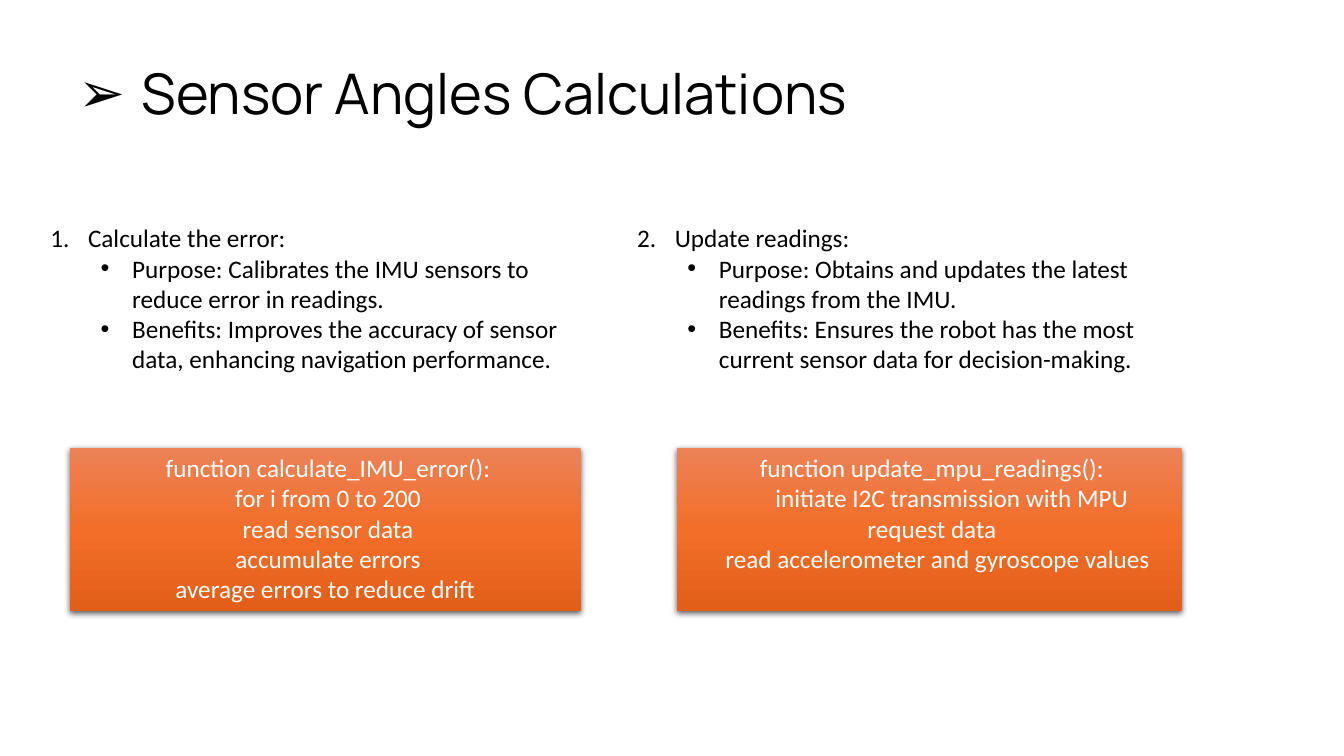
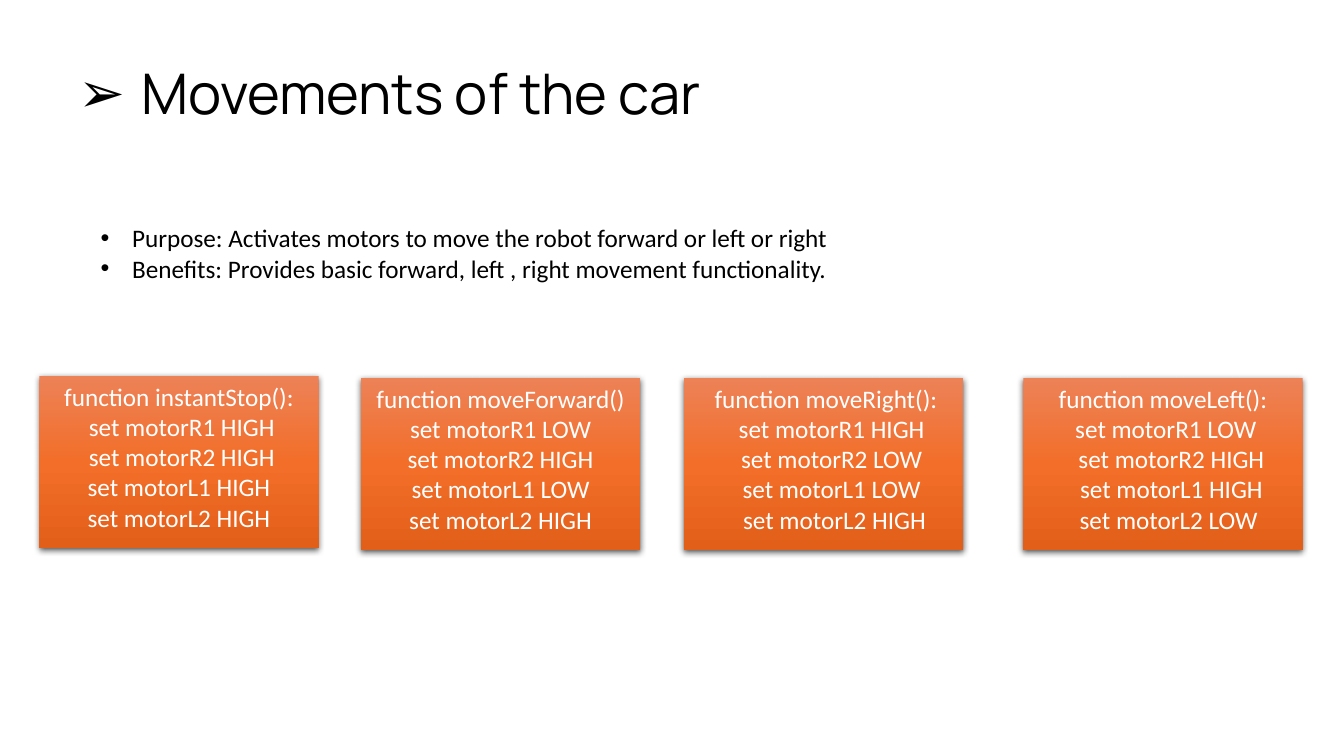
"""Build two slides on the robot's angle readings and car movements."""
from dataclasses import dataclass

from lxml.etree import SubElement
from pptx import Presentation
from pptx.dml.color import RGBColor
from pptx.enum.shapes import MSO_SHAPE
from pptx.enum.text import MSO_ANCHOR, PP_ALIGN
from pptx.oxml import parse_xml
from pptx.oxml.ns import nsdecls, qn
from pptx.util import Inches, Pt

COLOURS = {
    "ink": "000000",
    "paper": "FFFFFF",
    "light": "ED8257",
    "middle": "F26E29",
    "deep": "E25F1A",
}
WIDTH, HEIGHT = Inches(13.33), Inches(7.5)
GRADIENT = (("light", 0), ("middle", 50), ("deep", 100))
FRAME = {"word_wrap": True, "vertical_anchor": MSO_ANCHOR.TOP}
TITLE_FRAME = FRAME | {"vertical_anchor": MSO_ANCHOR.MIDDLE}
BODY_FONT = {"name": "Calibri", "size": Pt(18), "bold": False}
TITLE_FONT = BODY_FONT | {"name": "Manrope", "size": Pt(40)}


@dataclass(frozen=True)
class Area:
    """A rectangle in hundredths of the slide's width and height."""

    left: float
    top: float
    width: float
    height: float

    def lengths(self) -> tuple[int, int, int, int]:
        """Return left, top, width and height for python-pptx."""
        return across(self.left), down(self.top), across(self.width), down(self.height)


@dataclass(frozen=True)
class Marker:
    """A bullet with its text margin and hanging indent."""

    tag: str
    attributes: dict[str, str]
    margin: float
    hanging: float
    level: int = 0


@dataclass(frozen=True)
class Line:
    """A paragraph of text and its marker."""

    text: str
    marker: Marker


@dataclass(frozen=True)
class Notes:
    """A text block of marked lines."""

    area: Area
    lines: tuple[Line, ...]


@dataclass(frozen=True)
class Code:
    """An orange panel of pseudocode."""

    area: Area
    text: str


@dataclass(frozen=True)
class Topic:
    """The content of one slide."""

    title: str
    notes: tuple[Notes, ...]
    codes: tuple[Code, ...]


def across(share: float) -> int:
    """Turn a hundredth of the slide's width into a length."""
    return round(WIDTH * share / 100)


def down(share: float) -> int:
    """Turn a hundredth of the slide's height into a length."""
    return round(HEIGHT * share / 100)


def numbered(start: int) -> Marker:
    """Return a number marker that counts from start."""
    attributes = {"type": "arabicPeriod", "startAt": str(start)}
    return Marker("a:buAutoNum", attributes, 2.81, 2.81)


ARROW = Marker("a:buChar", {"char": "➢"}, 4.69, 4.69)
DOT = Marker("a:buChar", {"char": "•"}, 6.09, 2.34, 1)
TITLE_AREA = Area(5.1, 3.07, 86.25, 19.33)


def apply(target: object, values: dict) -> None:
    """Set each named format value on the target."""
    for name, value in values.items():
        setattr(target, name, value)


def write(paragraph, text: str, font: dict, colour: str, layout: dict) -> None:
    """Fill a paragraph with one formatted span."""
    apply(paragraph, layout)
    span = paragraph.add_run()
    span.text = text
    apply(span.font, font)
    span.font.color.rgb = RGBColor.from_string(COLOURS[colour])


def mark(paragraph, marker: Marker) -> None:
    """Give a paragraph its bullet and indents."""
    properties = paragraph._p.get_or_add_pPr()
    properties.set("marL", str(across(marker.margin)))
    properties.set("indent", str(-across(marker.hanging)))
    SubElement(properties, qn("a:buFont"), typeface="Arial")
    SubElement(properties, qn(marker.tag), marker.attributes)
    paragraph.level = marker.level


def paragraphs(frame, count: int) -> list:
    """Return the frame's paragraphs, extended to count."""
    return [frame.paragraphs[0], *(frame.add_paragraph() for _ in range(count - 1))]


def add_notes(page, notes: Notes, font: dict, frame: dict, layout: dict) -> None:
    """Draw a block of marked lines."""
    box = page.shapes.add_textbox(*notes.area.lengths())
    apply(box.text_frame, frame)
    for para, line in zip(paragraphs(box.text_frame, len(notes.lines)), notes.lines):
        mark(para, line.marker)
        write(para, line.text, font, "ink", layout)


def style_panel(panel) -> None:
    """Give a panel its gradient and soft shadow."""
    panel.line.fill.background()
    panel.shadow.inherit = False
    stops = "".join(
        f'<a:gs pos="{place * 1000}"><a:srgbClr val="{COLOURS[name]}"/></a:gs>'
        for name, place in GRADIENT
    )
    properties = panel._element.spPr
    properties.find(qn("a:prstGeom")).addnext(parse_xml(
        f'<a:gradFill {nsdecls("a")} rotWithShape="1"><a:gsLst>{stops}</a:gsLst>'
        '<a:lin ang="5400000" scaled="0"/></a:gradFill>'
    ))
    properties.find(qn("a:effectLst")).append(parse_xml(
        f'<a:outerShdw {nsdecls("a")} blurRad="{Pt(4.5)}" dist="{Pt(1.5)}" '
        f'dir="5400000" algn="ctr" rotWithShape="0"><a:srgbClr val="{COLOURS["ink"]}">'
        '<a:alpha val="63000"/></a:srgbClr></a:outerShdw>'
    ))


def add_code(page, code: Code) -> None:
    """Draw a panel of centred pseudocode."""
    panel = page.shapes.add_shape(MSO_SHAPE.RECTANGLE, *code.area.lengths())
    style_panel(panel)
    apply(panel.text_frame, FRAME)
    lines = code.text.split("\n")
    for para, text in zip(paragraphs(panel.text_frame, len(lines)), lines):
        write(para, text, BODY_FONT, "paper", {"alignment": PP_ALIGN.CENTER})


def movement(left: float, text: str, top: float = 50) -> Code:
    """Return one of the equal movement panels."""
    return Code(Area(left, top, 20.78, 22.8), text)


TOPICS = (
    Topic(
        "Sensor Angles Calculations",
        (
            Notes(Area(3, 28.8, 41.64, 30.4), (
                Line("Calculate the error:", numbered(1)),
                Line("Purpose: Calibrates the IMU sensors to reduce error in readings.", DOT),
                Line("Benefits: Improves the accuracy of sensor data, "
                     "enhancing navigation performance.", DOT),
            )),
            Notes(Area(46.66, 28.8, 41.64, 30.4), (
                Line("Update readings:", numbered(2)),
                Line("Purpose: Obtains and updates the latest readings from the IMU.", DOT),
                Line("Benefits: Ensures the robot has the most current sensor data "
                     "for decision-making.", DOT),
            )),
        ),
        (
            Code(Area(5.18, 59.2, 38.03, 21.6),
                 " function calculate_IMU_error():\n for i from 0 to 200\n read sensor data\n"
                 " accumulate errors\naverage errors to reduce drift"),
            Code(Area(50.34, 59.2, 37.58, 21.6),
                 " function update_mpu_readings():\n        initiate I2C transmission with MPU\n"
                 " request data\n   read accelerometer and gyroscope values"),
        ),
    ),
    Topic(
        "Movements of the car",
        (
            Notes(Area(3, 28.8, 82.15, 14.13), (
                Line("Purpose: Activates motors to move the robot forward or left or right", DOT),
                Line("Benefits: Provides basic forward, left , right movement functionality.", DOT),
            )),
        ),
        (
            movement(2.93, "function instantStop():\n set motorR1 HIGH\n set motorR2 HIGH\n"
                     "set motorL1 HIGH\nset motorL2 HIGH", 49.73),
            movement(26.86, "function moveForward()\nset motorR1 LOW\nset motorR2 HIGH\n"
                     "set motorL1 LOW\nset motorL2 HIGH"),
            movement(50.86, " function moveRight():\n   set motorR1 HIGH\n   set motorR2 LOW\n"
                     "   set motorL1 LOW\n    set motorL2 HIGH"),
            movement(76.14, "function moveLeft():\n set motorR1 LOW\n   set motorR2 HIGH\n"
                     "   set motorL1 HIGH\n  set motorL2 LOW"),
        ),
    ),
)


def add_topic(deck, topic: Topic) -> None:
    """Draw one slide."""
    page = deck.slides.add_slide(deck.slide_layouts[6])
    title = Notes(TITLE_AREA, (Line(topic.title, ARROW),))
    add_notes(page, title, TITLE_FONT, TITLE_FRAME, {"line_spacing": 0.9})
    for notes in topic.notes:
        add_notes(page, notes, BODY_FONT, FRAME, {})
    for code in topic.codes:
        add_code(page, code)


def main() -> None:
    """Build and save the deck."""
    deck = Presentation()
    apply(deck, {"slide_width": WIDTH, "slide_height": HEIGHT})
    for topic in TOPICS:
        add_topic(deck, topic)
    deck.save("out.pptx")


if __name__ == "__main__":
    main()
